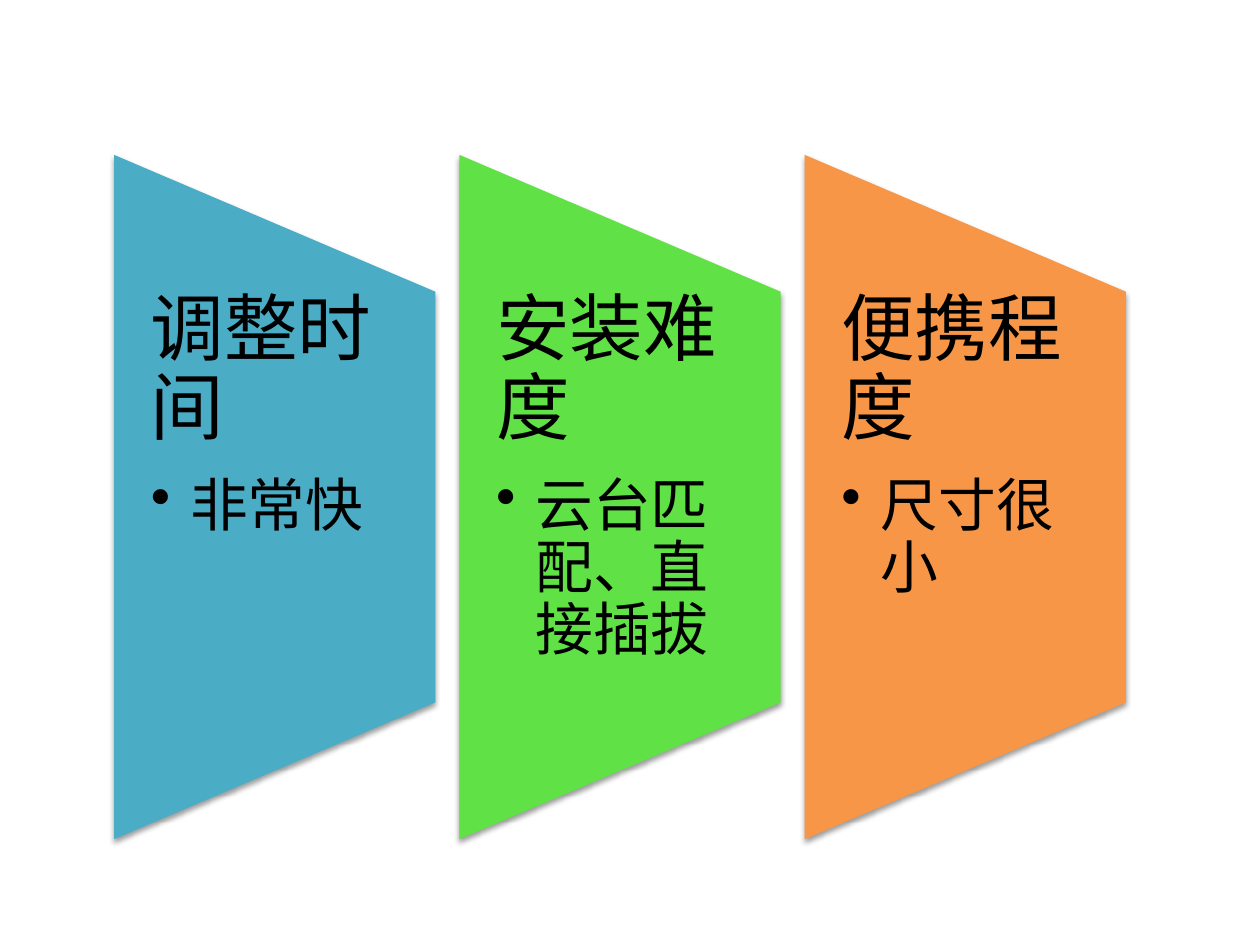
from lxml import etree
from pptx import Presentation
from pptx.dml.color import RGBColor
from pptx.enum.shapes import MSO_SHAPE
from pptx.enum.text import MSO_ANCHOR, PP_ALIGN
from pptx.oxml.ns import qn
from pptx.util import Pt

TRAPEZOID = MSO_SHAPE.FLOWCHART_MANUAL_OPERATION
TOP = MSO_ANCHOR.TOP
LEFT = PP_ALIGN.LEFT
FONT = "Noto Sans CJK SC"

PANEL_LEFT, PANEL_TOP = 65.2, 88.5
PANEL_WIDTH, PANEL_HEIGHT = 183.6, 391
PITCH = 197.3
INDENT = 22.5

features = [
    ("调整时间", "非常快", "4BACC6"),
    ("安装难度", "云台匹配、直接插拔", "60E146"),
    ("便携程度", "尺寸很小", "F79646"),
]


def color(value):
    return RGBColor.from_string(value)


def style(paragraph, size, space_after):
    paragraph.alignment = LEFT
    paragraph.line_spacing = 0.9
    paragraph.space_after = Pt(space_after)
    paragraph.font.size = Pt(size)
    paragraph.font.color.rgb = color("000000")
    paragraph.font.name = FONT
    # East Asian typeface
    defaults = paragraph._p.pPr.find(qn("a:defRPr"))
    etree.SubElement(defaults, qn("a:ea"), typeface=FONT)


prs = Presentation()
prs.slide_width, prs.slide_height = Pt(720), Pt(540)
slide = prs.slides.add_slide(prs.slide_layouts[6])

for i, (heading, detail, fill) in enumerate(features):
    left = PANEL_LEFT + i * PITCH

    # Panel: a trapezoid turned on its side about its centre
    shift = (PANEL_HEIGHT - PANEL_WIDTH) / 2
    panel = slide.shapes.add_shape(
        TRAPEZOID, Pt(left - shift), Pt(PANEL_TOP + shift),
        Pt(PANEL_HEIGHT), Pt(PANEL_WIDTH))
    panel.rotation = 270
    panel.fill.solid()
    panel.fill.fore_color.rgb = color(fill)
    panel.line.fill.background()

    # Soft shadow below the panel
    panel.shadow.inherit = False
    effects = panel._element.spPr.find(qn("a:effectLst"))
    shadow = etree.SubElement(
        effects, qn("a:outerShdw"), blurRad=str(Pt(3.15)), dist=str(Pt(1.57)),
        dir="5400000", rotWithShape="0")
    shade = etree.SubElement(shadow, qn("a:srgbClr"), val="000000")
    etree.SubElement(shade, qn("a:alpha"), val="38000")

    # Heading
    label = slide.shapes.add_textbox(
        Pt(left), Pt(PANEL_TOP + PANEL_HEIGHT / 5),
        Pt(PANEL_WIDTH), Pt(PANEL_HEIGHT * 0.6))
    frame = label.text_frame
    frame.word_wrap = True
    frame.vertical_anchor = TOP
    frame.margin_left = frame.margin_right = Pt(21)
    frame.margin_top = frame.margin_bottom = 0
    title = frame.paragraphs[0]
    title.text = heading
    style(title, 42, 14.7)

    # Bullet
    point = frame.add_paragraph()
    point.text = detail
    point.level = 1
    properties = point._p.get_or_add_pPr()
    properties.set("marL", str(Pt(INDENT)))
    properties.set("indent", str(Pt(-INDENT)))
    etree.SubElement(properties, qn("a:buChar"), char="•")
    style(point, 33, 5)

prs.save("out.pptx")
